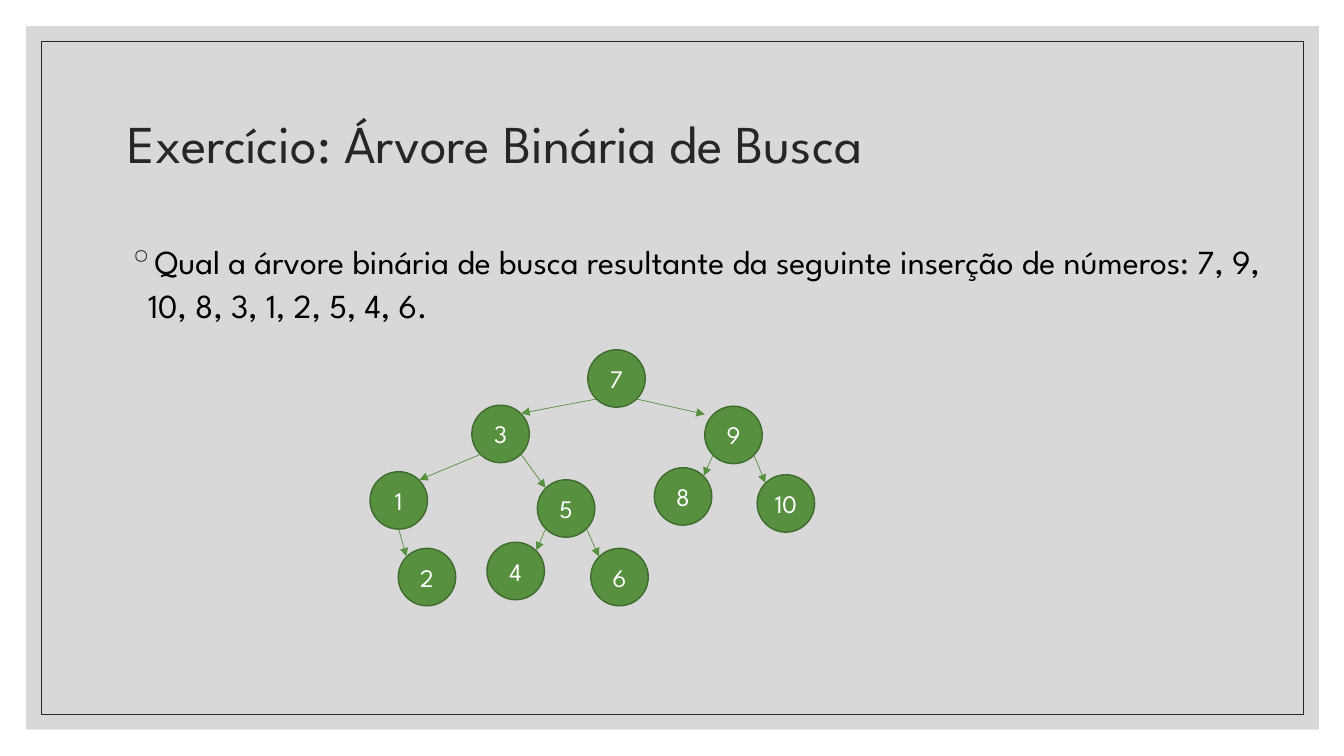
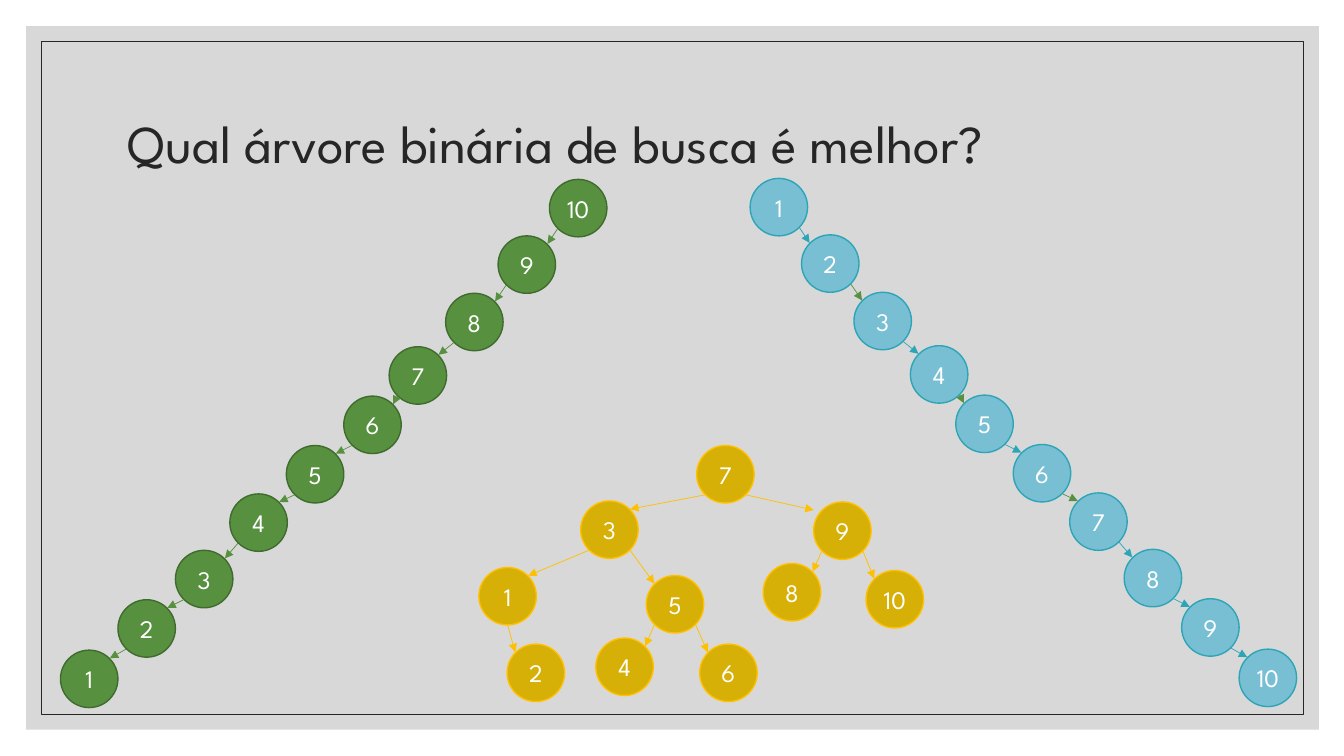
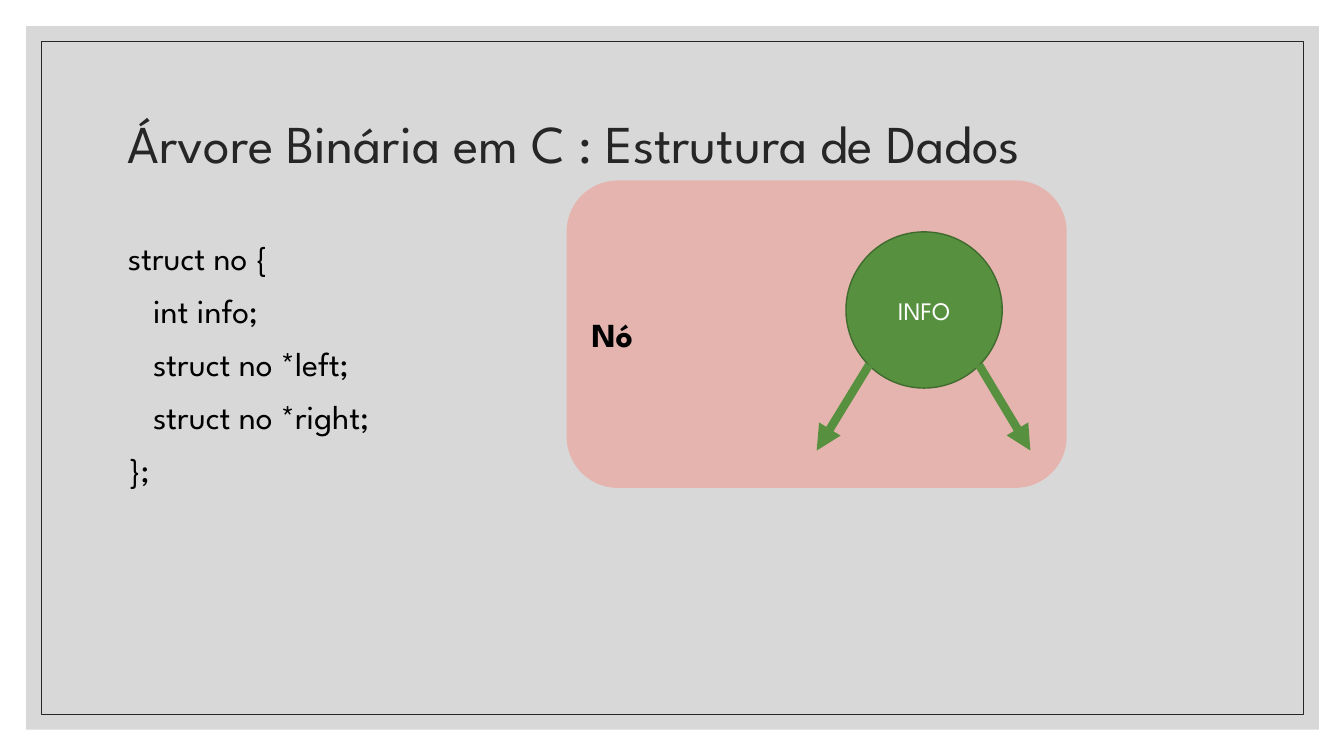
from lxml import etree
from pptx import Presentation
from pptx.dml.color import RGBColor
from pptx.enum.shapes import MSO_CONNECTOR, MSO_SHAPE
from pptx.enum.text import MSO_ANCHOR, PP_ALIGN
from pptx.oxml.ns import qn
from pptx.util import Inches, Pt

RECTANGLE, ROUNDED, OVAL = MSO_SHAPE.RECTANGLE, MSO_SHAPE.ROUNDED_RECTANGLE, MSO_SHAPE.OVAL
STRAIGHT = MSO_CONNECTOR.STRAIGHT
TOP, MIDDLE = MSO_ANCHOR.TOP, MSO_ANCHOR.MIDDLE
LEFT, CENTER = PP_ALIGN.LEFT, PP_ALIGN.CENTER

FONT = "League Spartan"
BLACK, WHITE, DARK, GREY, PINK = "000000", "FFFFFF", "262626", "BFBFBF", "F68C80"
GREEN, DARK_GREEN = "57903F", "406B2F"
BLUE, DARK_BLUE = "78BFD3", "2EA5B7"
MUSTARD, GOLD = "D6AF07", "FFC000"
color = RGBColor.from_string


def add_box(page, kind, place, text="", size=18, ink=WHITE, align=LEFT, anchor=MIDDLE,
            fill=None, opacity=100, line=None, line_width=1.0):
    """Add a preset shape, or a text box when kind is None."""
    lengths = [Inches(value) for value in place]
    if kind is None:
        box = page.shapes.add_textbox(*lengths)
    else:
        box = page.shapes.add_shape(kind, *lengths)
        box.shadow.inherit = False
    if fill:
        box.fill.solid()
        box.fill.fore_color.rgb = color(fill)
        if opacity < 100:
            solid = box.fill._xPr.find(qn("a:solidFill"))
            etree.SubElement(solid[0], qn("a:alpha")).set("val", str(opacity * 1000))
    else:
        box.fill.background()
    if line:
        box.line.color.rgb = color(line)
        box.line.width = Pt(line_width)
    else:
        box.line.fill.background()
    frame = box.text_frame
    frame.word_wrap = True
    frame.vertical_anchor = anchor
    if kind == OVAL:
        frame.margin_left = frame.margin_right = 0
    frame.text = text
    for para in frame.paragraphs:
        para.alignment = align
        for span in para.runs:
            span.font.name = FONT
            span.font.size = Pt(size)
            span.font.color.rgb = color(ink)
    return box


def add_arrow(page, start, end, ink, width=0.5):
    arrow = page.shapes.add_connector(STRAIGHT, *[Inches(value) for value in (*start, *end)])
    arrow.line.color.rgb = color(ink)
    arrow.line.width = Pt(width)
    head = etree.SubElement(arrow.line._get_or_add_ln(), qn("a:tailEnd"))
    head.set("type", "triangle")
    etree.SubElement(arrow._element.spPr, qn("a:effectLst"))


deck = Presentation()
deck.slide_width, deck.slide_height = Inches(13.33), Inches(7.5)

# Shared frame and titles
titles = ["Exercício: Árvore Binária de Busca",
          "Qual árvore binária de busca é melhor?",
          "Árvore Binária em C : Estrutura de Dados"]
pages = []
for title in titles:
    page = deck.slides.add_slide(deck.slide_layouts[6])
    add_box(page, RECTANGLE, (0.26, 0.26, 12.82, 6.98), fill=GREY, opacity=60)
    add_box(page, RECTANGLE, (0.41, 0.41, 12.52, 6.68), line=DARK, line_width=0.5)
    heading = add_box(page, None, (1.17, 0.7, 11, 1.5), title, 38, DARK)
    heading.text_frame.paragraphs[0].line_spacing = 0.9
    pages.append(page)
exercise_page, comparison_page, struct_page = pages
BODY = (1.17, 2.3, 11.58, 4.21)

# Exercise question with its bullet
question = add_box(
    exercise_page, None, BODY,
    "Qual a árvore binária de busca resultante da seguinte inserção de números: "
    "7, 9, 10, 8, 3, 1, 2, 5, 4, 6.", 24, BLACK, anchor=TOP)
para = question.text_frame.paragraphs[0]
para.line_spacing = 1.1
para.space_before = Pt(9)
props = para._p.get_or_add_pPr()
props.set("marL", str(Inches(0.2)))
props.set("indent", str(-Inches(0.2)))
bullet_ink = etree.SubElement(props, qn("a:buClr"))
etree.SubElement(bullet_ink, qn("a:srgbClr")).set("val", DARK)
etree.SubElement(props, qn("a:buChar")).set("char", "◦")

# Node positions: a balanced tree, a shifted copy, and two mirrored chains
NODE = 0.57
NEAR, FAR = 0.08, 0.49  # diagonal points on a node's outline
balanced = {7: (5.83, 3.47), 9: (6.99, 4.03), 10: (7.51, 4.71), 8: (6.49, 4.64),
            3: (4.68, 4.02), 1: (3.67, 4.68), 2: (3.95, 5.44), 5: (5.33, 4.76),
            6: (5.86, 5.44), 4: (4.83, 5.38)}
balanced_edges = [(7, 9), (9, 10), (9, 8), (7, 3), (3, 1), (1, 2), (3, 5), (5, 6), (5, 4)]
shifted = {value: (left + 1.08, top + 0.95) for value, (left, top) in balanced.items()}
falling = {10: (5.45, 1.78), 9: (4.94, 2.34), 8: (4.42, 2.91), 7: (3.86, 3.44),
           6: (3.41, 3.93), 5: (2.84, 4.42), 4: (2.28, 4.9), 3: (1.74, 5.46),
           2: (1.17, 5.95), 1: (0.6, 6.45)}
rising = {11 - value: (12.89 - left, top - 0.01) for value, (left, top) in falling.items()}
falling_edges = [(value, value - 1) for value in range(10, 1, -1)]
rising_edges = [(value, value + 1) for value in range(1, 10)]

trees = [
    (exercise_page, balanced, balanced_edges, GREEN, DARK_GREEN, GREEN),
    (comparison_page, rising, rising_edges, BLUE, DARK_BLUE, DARK_BLUE),
    (comparison_page, falling, falling_edges, GREEN, DARK_GREEN, GREEN),
    (comparison_page, shifted, balanced_edges, MUSTARD, GOLD, GOLD),
]
for page, nodes, edges, fill, outline, arrow_ink in trees:
    for value, (left, top) in nodes.items():
        add_box(page, OVAL, (left, top, NODE, NODE), str(value),
                align=CENTER, fill=fill, line=outline)
    for parent, child in edges:
        (left, top), (child_left, child_top) = nodes[parent], nodes[child]
        leave, arrive = (NEAR, FAR) if child_left < left else (FAR, NEAR)
        start = (left + leave, top + FAR)
        if edges is balanced_edges and parent == 1:
            start = (left + NODE / 2, top + NODE)
        if edges is balanced_edges and child == 9:
            arrive = 0
        # Three links of the rising chain are green
        ink = GREEN if nodes is rising and parent in (2, 4, 6) else arrow_ink
        add_arrow(page, start, (child_left + arrive, child_top + NEAR), ink)

# Struct panel and code
panel = add_box(struct_page, ROUNDED, (5.62, 1.79, 4.96, 3.05), "Nó", 24, BLACK,
                fill=PINK, opacity=47)
panel.text_frame.paragraphs[0].runs[0].font.bold = True
code = add_box(struct_page, None, BODY,
               "struct no {\nint info;\nstruct no *left;\nstruct no *right;\n};",
               24, BLACK, anchor=TOP)
for para in code.text_frame.paragraphs:
    para.space_before = Pt(9)
for para in code.text_frame.paragraphs[1:4]:
    para._p.get_or_add_pPr().set("marL", str(Inches(0.25)))

# Node diagram with its two pointers
add_box(struct_page, OVAL, (8.39, 2.3, 1.55, 1.55), "INFO", align=CENTER,
        fill=GREEN, line=DARK_GREEN)
for start_left, end_left in ((8.62, 8.1), (9.71, 10.22)):
    add_arrow(struct_page, (start_left, 3.62), (end_left, 4.47), GREEN, 6)

deck.save("out.pptx")
